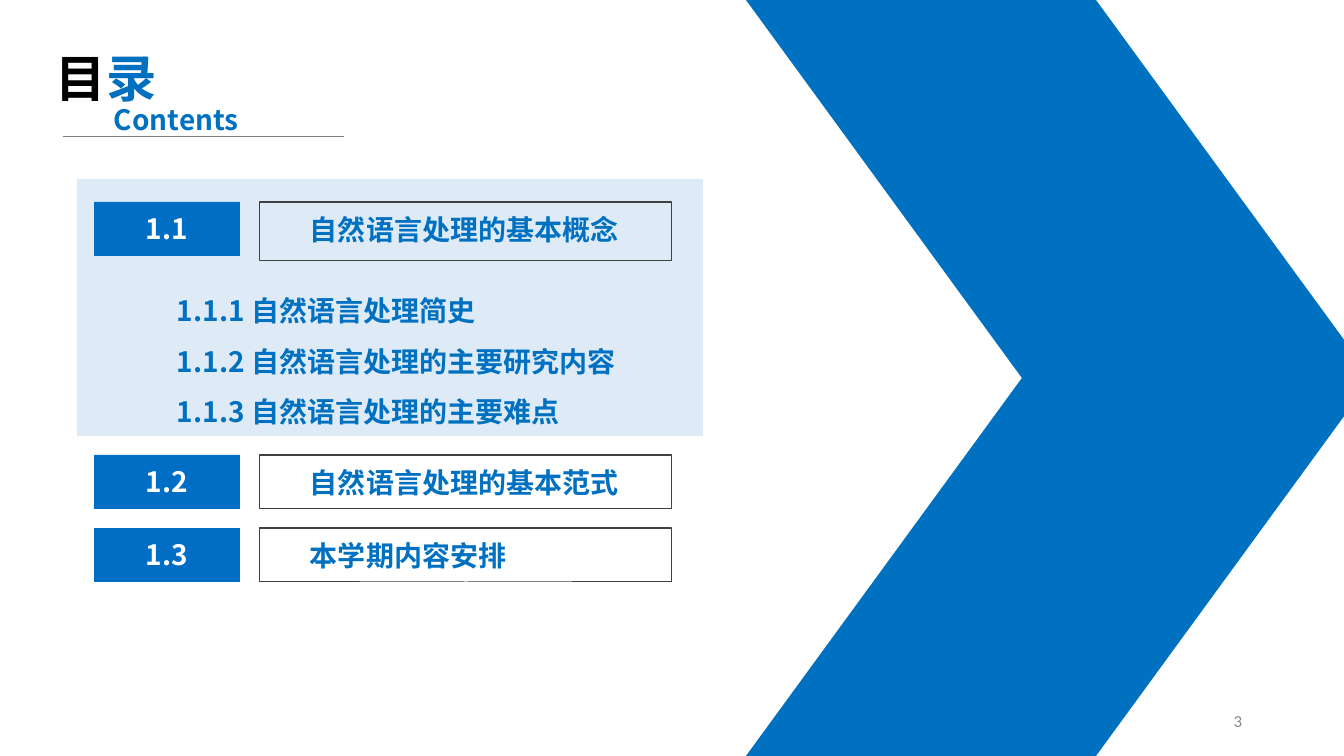
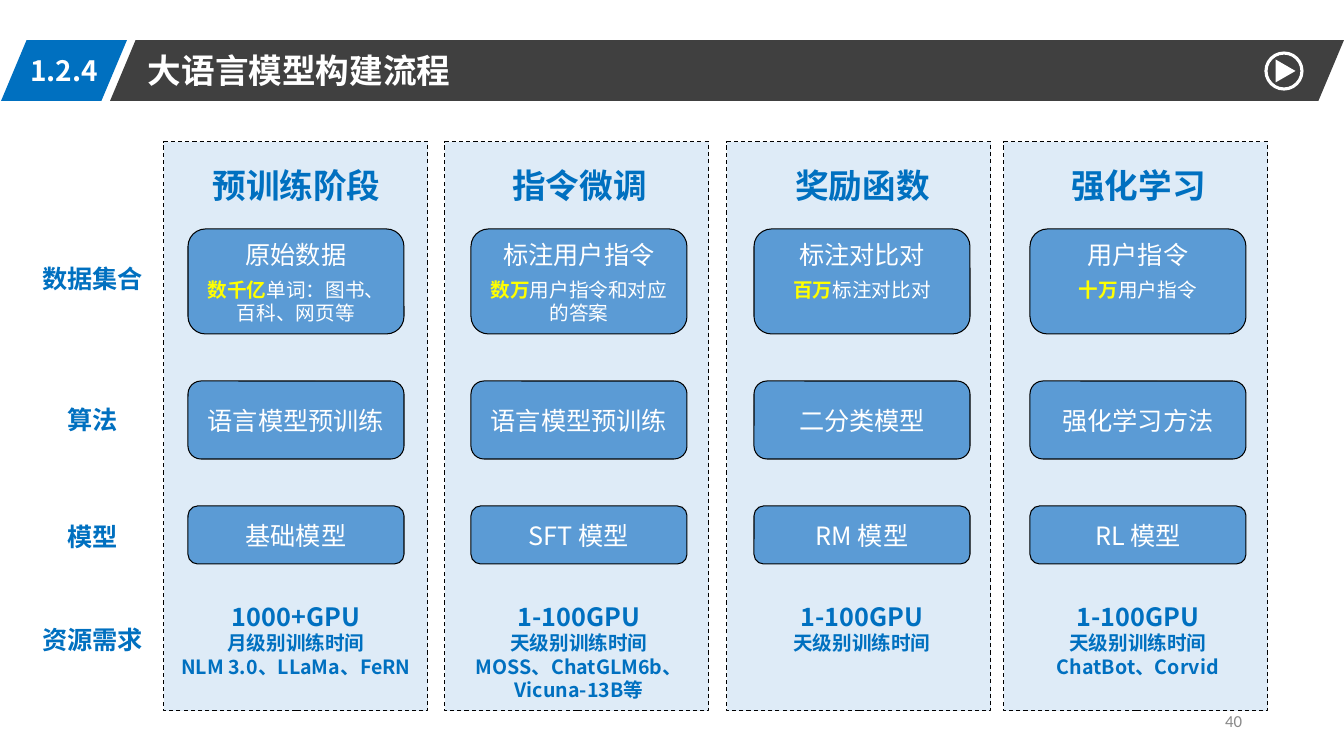
from lxml import etree
from pptx import Presentation
from pptx.dml.color import RGBColor
from pptx.enum.dml import MSO_LINE
from pptx.enum.shapes import MSO_CONNECTOR, MSO_SHAPE
from pptx.enum.text import MSO_ANCHOR, MSO_AUTO_SIZE, PP_ALIGN
from pptx.oxml.ns import qn
from pptx.util import Pt

RECTANGLE = MSO_SHAPE.RECTANGLE
ROUNDED = MSO_SHAPE.ROUNDED_RECTANGLE
PARALLELOGRAM = MSO_SHAPE.PARALLELOGRAM
OVAL = MSO_SHAPE.OVAL
TRIANGLE = MSO_SHAPE.ISOSCELES_TRIANGLE
DASH = MSO_LINE.DASH
CENTER = {"alignment": PP_ALIGN.CENTER}
RIGHT = {"alignment": PP_ALIGN.RIGHT}
MIDDLE = {"vertical_anchor": MSO_ANCHOR.MIDDLE}
GROW = {"auto_size": MSO_AUTO_SIZE.SHAPE_TO_FIT_TEXT}

SLIDE_WIDTH, SLIDE_HEIGHT = 1344, 756
SCALE = 12192000 / SLIDE_WIDTH
BLUE, BADGE, PALE, CARD = "0070C0", "006EC5", "DEEBF7", "5B9BD5"
WHITE, BLACK, DARK, YELLOW = "FFFFFF", "000000", "404040", "FFFF00"
FONT = "Noto Sans CJK SC"

HEADING = {"size": Pt(24), "bold": True, "color": BLUE}
ENTRY = {"size": Pt(20), "bold": True, "color": BLUE}
LABEL = {"size": Pt(18), "bold": True, "color": BLUE}
DETAIL = {"size": Pt(14), "bold": True, "color": BLUE}
CARD_TEXT = {"size": Pt(18), "color": WHITE}
CARD_DETAIL = {"size": Pt(14), "color": WHITE}
CARD_ACCENT = {"size": Pt(14), "bold": True, "color": YELLOW}
PAGE_NUMBER = {"size": Pt(12), "color": "898989", "name": "Calibri"}


def add_box(slide, kind, box, fill=None, line=None, width=0.75, adjustment=None):
    place = [round(length * SCALE) for length in box]
    if kind is None:
        return slide.shapes.add_textbox(*place)
    shape = slide.shapes.add_shape(kind, *place)
    shape.shadow.inherit = False
    if fill:
        shape.fill.solid()
        shape.fill.fore_color.rgb = RGBColor.from_string(fill)
    else:
        shape.fill.background()
    if line:
        shape.line.color.rgb = RGBColor.from_string(line)
        shape.line.width = Pt(width)
    else:
        shape.line.fill.background()
    if adjustment is not None:
        shape.adjustments[0] = adjustment
    return shape


def write_text(shape, paragraphs, paragraph_format, frame_format):
    frame = shape.text_frame
    frame.word_wrap = True
    frame.vertical_anchor = MSO_ANCHOR.TOP
    for name, value in frame_format.items():
        setattr(frame, name, value)
    for index, runs in enumerate(paragraphs):
        paragraph = frame.add_paragraph() if index else frame.paragraphs[0]
        paragraph.alignment = PP_ALIGN.LEFT
        for name, value in paragraph_format.items():
            setattr(paragraph, name, value)
        for text, font_format in runs:
            run = paragraph.add_run()
            run.text = text
            font = run.font
            for name, value in ({"name": FONT} | font_format).items():
                if name == "color":
                    font.color.rgb = RGBColor.from_string(value)
                else:
                    setattr(font, name, value)
            east_asian = etree.SubElement(run._r.get_or_add_rPr(), qn("a:ea"))
            east_asian.set("typeface", font.name)
    return frame


presentation = Presentation()
presentation.slide_width = round(SLIDE_WIDTH * SCALE)
presentation.slide_height = round(SLIDE_HEIGHT * SCALE)
blank = presentation.slide_layouts[6]
contents, process = slides = [presentation.slides.add_slide(blank) for _ in range(2)]
for slide, number in zip(slides, ("3", "40")):
    shape = add_box(slide, None, (950, 701, 302, 40))
    write_text(shape, [[(number, PAGE_NUMBER)]], RIGHT, MIDDLE)

add_box(contents, RECTANGLE, (77, 179, 626, 257), PALE)
for top, flip in ((378, "0"), (0, "1")):
    arm = add_box(contents, PARALLELOGRAM, (746, top, 626, 378), BLUE, adjustment=0.73)
    arm._element.spPr.xfrm.set("flipV", flip)

title_runs = [("目", {"size": Pt(36), "bold": True, "color": BLACK}),
              ("录", {"size": Pt(36), "bold": True, "color": BLUE})]
write_text(add_box(contents, None, (46, 42, 158, 72)), [title_runs], {}, GROW)
write_text(add_box(contents, None, (104, 98, 158, 44)), [[("Contents", ENTRY)]], {}, GROW)
rule_ends = [round(length * SCALE) for length in (63, 136, 344, 136)]
rule = contents.shapes.add_connector(MSO_CONNECTOR.STRAIGHT, *rule_ends)
rule.line.color.rgb = RGBColor.from_string("7F7F7F")
rule.line.width = Pt(0.5)
etree.SubElement(rule._element.spPr, qn("a:effectLst"))

sections = [
    ("1.1", "自然语言处理的基本概念", 202, 59),
    ("1.2", "自然语言处理的基本范式", 455, 54),
    ("1.3", "本学期内容安排", 528, 54),
]
badge_frame = {"margin_top": round(9 * SCALE)}
entry_frame = {"margin_top": round(10 * SCALE), "margin_left": round(50 * SCALE)}
for number, name, top, height in sections:
    badge = add_box(contents, RECTANGLE, (94, top, 146, 54), BADGE)
    write_text(badge, [[(number, ENTRY | {"color": WHITE})]], CENTER, badge_frame)
    entry = add_box(contents, RECTANGLE, (260, top, 412, height), line=DARK)
    write_text(entry, [[(name, ENTRY)]], {}, entry_frame)

subsections = ["1.1.1 自然语言处理简史", "1.1.2 自然语言处理的主要研究内容", "1.1.3 自然语言处理的主要难点"]
shape = add_box(contents, None, (167, 272, 686, 157))
write_text(shape, [[(text, ENTRY)] for text in subsections], {"line_spacing": 1.5}, GROW)

for left, width, color in ((110, 1234, DARK), (1, 126, BLUE)):
    add_box(process, PARALLELOGRAM, (left, 40, width, 61), color, adjustment=0.42)
shape = add_box(process, None, (18, 49, 92, 44))
write_text(shape, [[("1.2.4", ENTRY | {"color": WHITE})]], CENTER, GROW)
shape = add_box(process, None, (138, 45, 340, 50))
write_text(shape, [[("大语言模型构建流程", HEADING | {"color": WHITE})]], {}, GROW)
add_box(process, OVAL, (1266, 53, 36, 36), line=WHITE, width=2.25)
add_box(process, TRIANGLE, (1274, 61, 23, 20), WHITE).rotation = 90

for text, top in (("数据集合", 258), ("算法", 399), ("模型", 516), ("资源需求", 619)):
    write_text(add_box(process, None, (-20, top, 225, 40)), [[(text, LABEL)]], CENTER, GROW)

stages = [
    (164, 188, "预训练阶段", "原始数据", "数千亿", "单词：图书、百科、网页等",
     "语言模型预训练", "基础模型",
     ["1000+GPU", "月级别训练时间", "NLM 3.0、LLaMa、FeRN"]),
    (445, 471, "指令微调", "标注用户指令", "数万", "用户指令和对应的答案",
     "语言模型预训练", "SFT 模型",
     ["1-100GPU", "天级别训练时间", "MOSS、ChatGLM6b、Vicuna-13B等"]),
    (727, 754, "奖励函数", "标注对比对", "百万", "标注对比对",
     "二分类模型", "RM 模型",
     ["1-100GPU", "天级别训练时间"]),
    (1004, 1030, "强化学习", "用户指令", "十万", "用户指令",
     "强化学习方法", "RL 模型",
     ["1-100GPU", "天级别训练时间", "ChatBot、Corvid"]),
]
for panel_left, card_left, name, data, amount, description, method, model, resources in stages:
    panel = add_box(process, RECTANGLE, (panel_left, 142, 264, 569), PALE, BLACK)
    panel.line.dash_style = DASH
    heading = add_box(process, None, (card_left - 4, 160, 225, 50))
    write_text(heading, [[(name, HEADING)]], CENTER, GROW)
    data_runs = [[(data, CARD_TEXT)], [(amount, CARD_ACCENT), (description, CARD_DETAIL)]]
    cards = [
        (229, 105, data_runs, {}),
        (381, 78, [[(method, CARD_TEXT)]], MIDDLE),
        (506, 58, [[(model, CARD_TEXT)]], MIDDLE),
    ]
    for top, height, paragraphs, frame_format in cards:
        card = add_box(process, ROUNDED, (card_left, top, 216, height), CARD, BLACK)
        frame = write_text(card, paragraphs, CENTER, frame_format)
        for paragraph in frame.paragraphs[1:]:
            paragraph.space_before = Pt(6)
    resource_runs = [[(text, DETAIL if index else LABEL)] for index, text in enumerate(resources)]
    shape = add_box(process, None, (card_left - 24, 596, 264, 89))
    write_text(shape, resource_runs, CENTER, GROW)

presentation.save("out.pptx")
